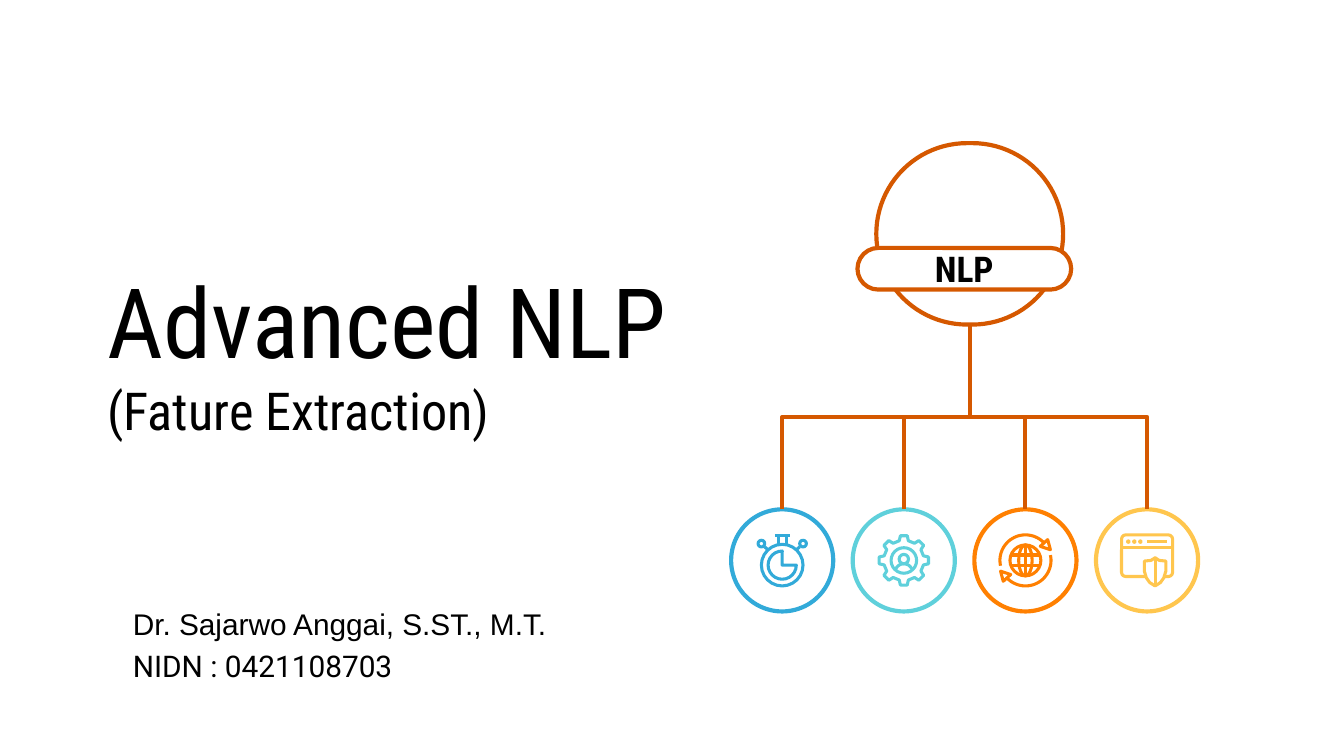
from math import cos, radians, sin

from lxml import etree
from pptx import Presentation
from pptx.dml.color import RGBColor
from pptx.enum.shapes import MSO_CONNECTOR, MSO_SHAPE
from pptx.enum.text import MSO_ANCHOR, PP_ALIGN
from pptx.oxml.ns import qn
from pptx.util import Emu, Pt

PX = 4572
BLACK = RGBColor(0x00, 0x00, 0x00)
WHITE = RGBColor(0xFF, 0xFF, 0xFF)
RUST = RGBColor(0xD5, 0x58, 0x00)
BLUE = RGBColor(0x32, 0xAA, 0xD9)
TEAL = RGBColor(0x5F, 0xD0, 0xDB)
ORANGE = RGBColor(0xFF, 0x80, 0x01)
YELLOW = RGBColor(0xFF, 0xC6, 0x4E)
OVAL, ROUNDED, PIE = MSO_SHAPE.OVAL, MSO_SHAPE.ROUNDED_RECTANGLE, MSO_SHAPE.PIE
ELBOW = MSO_CONNECTOR.ELBOW
TOP, MIDDLE = MSO_ANCHOR.TOP, MSO_ANCHOR.MIDDLE
LEFT, CENTER = PP_ALIGN.LEFT, PP_ALIGN.CENTER
FRAME_LINE, ICON_LINE = Pt(2.25), Pt(1.65)


def px(*lengths):
    """Turn px lengths into EMU."""
    return [Emu(round(length * PX)) for length in lengths]


def paint(shape, color, weight, fill=None):
    """Give a shape an outline and an optional fill."""
    shape.shadow.inherit = False
    shape.line.color.rgb = color
    shape.line.width = weight
    if fill is None:
        shape.fill.background()
    else:
        shape.fill.solid()
        shape.fill.fore_color.rgb = fill
    return shape


def add_outlined(page, kind, box, color, weight=ICON_LINE, fill=None):
    """Draw an outlined preset shape in a box."""
    return paint(page.shapes.add_shape(kind, *px(*box)), color, weight, fill)


def add_ring(page, center, radii, color, fill=None):
    """Draw an ellipse around a center."""
    (x, y), (rx, ry) = center, radii
    return add_outlined(page, OVAL, (x - rx, y - ry, 2 * rx, 2 * ry), color, fill=fill)


def add_path(page, origin, points, color, close=False, fill=None):
    """Draw a path through points relative to an origin."""
    spots = [px(origin[0] + x, origin[1] + y) for x, y in points]
    builder = page.shapes.build_freeform(*spots[0])
    builder.add_line_segments(spots[1:], close=close)
    return paint(builder.convert_to_shape(), color, ICON_LINE, fill)


def polar(radius, angle):
    """Return the point at an angle on a circle in an 80 px icon box."""
    return 40 + radius * cos(radians(angle)), 40 + radius * sin(radians(angle))


def write_text(frame, lines, anchor=TOP, align=LEFT, spacing=1.0, bold=False):
    """Write lines of (text, font, size) into one paragraph."""
    frame.word_wrap = True
    frame.vertical_anchor = anchor
    inset = px(20)[0]
    frame.margin_left = frame.margin_right = inset
    frame.margin_top = frame.margin_bottom = inset
    para = frame.paragraphs[0]
    para.alignment = align
    para.line_spacing = spacing
    for number, (text, font, size) in enumerate(lines):
        if number:
            para.add_line_break()
        span = para.add_run()
        span.text = text
        span.font.name = font
        span.font.size = Pt(size)
        span.font.bold = bold
        span.font.color.rgb = BLACK


def add_text(page, box, lines, **style):
    """Place a text box."""
    write_text(page.shapes.add_textbox(*px(*box)).text_frame, lines, **style)


def draw_stopwatch(page, box, color):
    """Draw a stopwatch icon."""
    x, y = box
    add_ring(page, (x + 40, y + 47), (31, 31), color)
    add_outlined(page, PIE, (x + 19, y + 26, 42, 42), color)
    add_path(page, box, [(29, 3), (51, 3)], color)
    for side in (-1, 1):
        add_path(page, box, [(40 + 6 * side, 4), (40 + 6 * side, 16)], color)
        add_path(page, box, [(40 + 26 * side, 20), (40 + 20 * side, 25)], color)
        add_ring(page, (x + 40 + 31 * side, y + 15), (5, 5), color)


def draw_gear(page, box, color):
    """Draw a gear icon around a person."""
    x, y = box
    tooth = ((30, -13), (37, -8), (37, 8), (30, 13))
    points = [polar(r, turn + a) for turn in range(0, 360, 45) for r, a in tooth]
    add_path(page, box, points, color, close=True)
    add_ring(page, (x + 40, y + 40), (19, 19), color)
    add_ring(page, (x + 40, y + 38), (7, 7), color)
    shoulders = [(40 + 13 * cos(radians(a)), 58 + 13 * sin(radians(a)))
                 for a in range(205, 336, 10)]
    add_path(page, box, shoulders, color)


def draw_globe(page, box, color):
    """Draw a globe icon between two circling arrows."""
    x, y = box
    for radii in ((23, 23), (10, 23)):
        add_ring(page, (x + 40, y + 40), radii, color)
    add_path(page, box, [(40, 17), (40, 63)], color)
    for level in (32, 48):
        add_path(page, box, [(19, level), (61, level)], color)
    arc = [polar(38, angle) for angle in range(168, 319, 5)]
    head = [(62, 19), (77, 24), (73, 9)]
    for points, close in ((arc, False), (head, True)):
        add_path(page, box, points, color, close)
        add_path(page, box, [(80 - a, 80 - b) for a, b in points], color, close)


def draw_browser(page, box, color):
    """Draw a browser window icon with a shield."""
    x, y = box
    window = add_outlined(page, ROUNDED, (x + 2, y + 2, 76, 62), color)
    window.adjustments[0] = 0.1
    add_path(page, box, [(2, 21), (78, 21)], color)
    add_path(page, box, [(40, 12), (70, 12)], color)
    for dot in (12, 21, 30):
        add_ring(page, (x + dot, y + 12), (1, 1), color, color)
    half = [(0, 36), (6, 40), (16, 41), (16, 56), (13, 66), (8, 73), (0, 78)]
    shield = [(52 + a, b) for a, b in half]
    shield += [(52 - a, b) for a, b in reversed(half[1:-1])]
    add_path(page, box, shield, color, close=True, fill=WHITE)
    add_path(page, box, [(52, 36), (52, 78)], color)


def add_branch(page, start, end):
    """Draw a vertical elbow connector from start down to end."""
    (x1, y1), (x2, y2) = start, end
    side = 1 if x2 < x1 else -1
    mid_x, mid_y = (x1 + x2) / 2, (y1 + y2) / 2
    reach, rise = side * (y2 - y1) / 2, abs(x2 - x1) / 2
    branch = page.shapes.add_connector(
        ELBOW, *px(mid_x - reach, mid_y - rise, mid_x + reach, mid_y + rise))
    branch.line.color.rgb = RUST
    branch.line.width = FRAME_LINE
    properties = branch._element.spPr
    etree.SubElement(properties, qn("a:effectLst"))
    turn = 90 if side == 1 else 270
    properties.find(qn("a:xfrm")).set("rot", str(turn * 60000))


def draw_tree(page, box):
    """Draw the topic tree with its four icon leaves."""
    left, top = box
    leaves = ((BLUE, draw_stopwatch), (TEAL, draw_gear),
              (ORANGE, draw_globe), (YELLOW, draw_browser))
    leaf_top, size, step = top + 545, 152, 181
    for number, (color, _) in enumerate(leaves):
        add_outlined(page, OVAL, (left + number * step, leaf_top, size, size),
                     color, FRAME_LINE, WHITE)
    root = add_outlined(page, ROUNDED, (left + 216, top, 278, 270), RUST, FRAME_LINE, WHITE)
    label = add_outlined(page, ROUNDED, (left + 188, top + 156, 318, 62),
                         RUST, FRAME_LINE, WHITE)
    root.adjustments[0] = label.adjustments[0] = 0.5
    write_text(label.text_frame, [("NLP", "Roboto Condensed", 19)], MIDDLE, CENTER, bold=True)
    for number, (color, draw_icon) in enumerate(leaves):
        leaf_left = left + number * step
        add_branch(page, (left + 355, top + 270), (leaf_left + 76, leaf_top))
        draw_icon(page, (leaf_left + 36, leaf_top + 36), color)


def build_cover(page):
    """Place the author, the topic tree and the title."""
    add_text(page, (178, 874, 788, 152),
             [("Dr. Sajarwo Anggai, S.ST., M.T.", "Arial", 16),
              ("NIDN : 0421108703", "Roboto", 16)], spacing=1.15)
    draw_tree(page, (1088, 213))
    add_text(page, (140, 356, 900, 334),
             [("Advanced NLP", "Roboto Condensed", 52),
              ("(Fature Extraction)", "Roboto Condensed", 28)], anchor=MIDDLE)


def main():
    """Build and save the deck."""
    deck = Presentation()
    deck.slide_width, deck.slide_height = px(2000, 1125)
    build_cover(deck.slides.add_slide(deck.slide_layouts[6]))
    deck.save("out.pptx")


if __name__ == "__main__":
    main()
